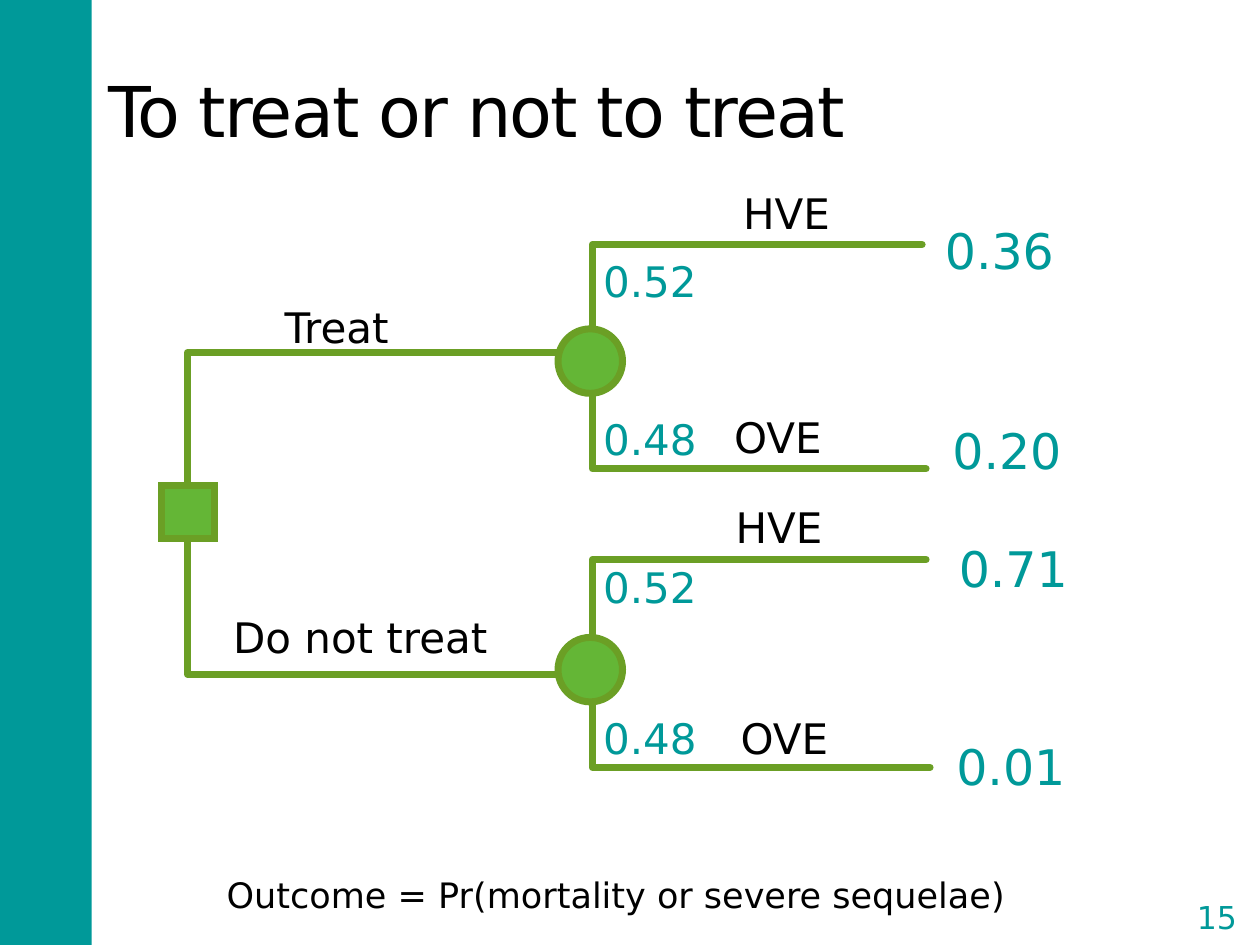
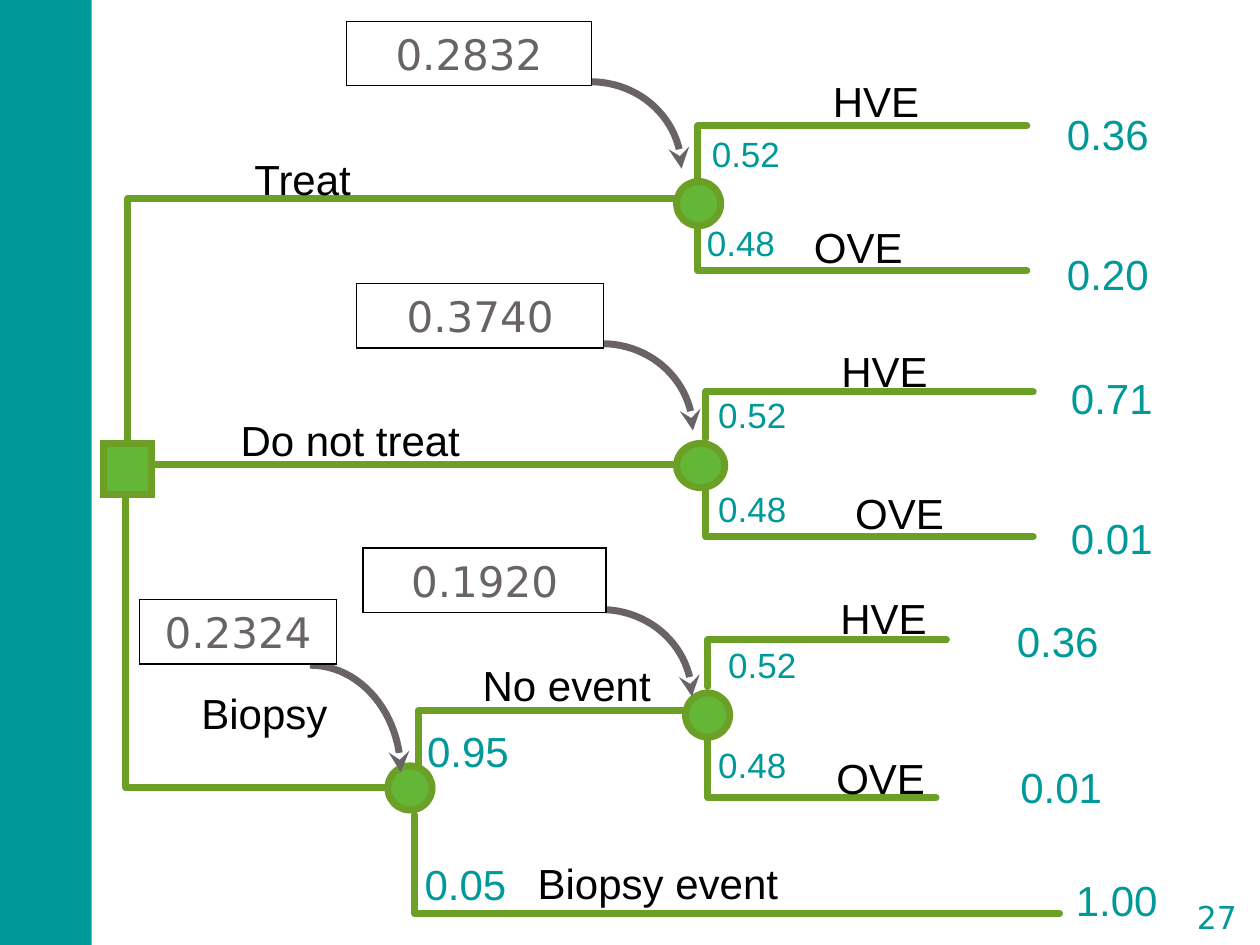
"""Build two decision-tree slides about treating or not treating."""
from math import cos, pi, sin

from lxml.etree import SubElement
from pptx import Presentation
from pptx.dml.color import RGBColor
from pptx.enum.shapes import MSO_SHAPE as SHAPE
from pptx.enum.text import MSO_ANCHOR as ANCHOR, MSO_AUTO_SIZE as AUTO, PP_ALIGN as ALIGN
from pptx.oxml.ns import qn
from pptx.util import Cm, Pt

COLORS = {
    "teal": "009999",
    "branch": "6B9F25",
    "node": "64B636",
    "grey": "696367",
    "black": "000000",
    "white": "FFFFFF",
}
SANS = "DejaVu Sans"
ARIAL = "Arial"
TITLE_ONLY, BLANK = 5, 6


def rgb(name):
    return RGBColor.from_string(COLORS[name])


class Deck:
    def __init__(self):
        self.prs = Presentation()
        self.prs.slide_width, self.prs.slide_height = Cm(25.4), Cm(19.05)

    def new_slide(self, number, font, pad, layout=BLANK):
        self.slide = self.prs.slides.add_slide(self.prs.slide_layouts[layout])
        self.font, self.pad = font, pad
        self.shape(SHAPE.RECTANGLE, -0.05, 0, 1.9, 19.05, fill="teal")
        sp = self.shape(SHAPE.DOUBLE_BRACKET, 23.77, 17.93, 1.52, 1.09, line="white", width=1.5)
        sp.adjustments[0] = 0.179
        self.set_text(sp, str(number), 18, "teal", (0, 0), SANS, ALIGN.CENTER)

    def set_text(self, sp, text, size, color, pad, font, align=ALIGN.LEFT, anchor=ANCHOR.MIDDLE):
        tf = sp.text_frame
        tf.word_wrap = True
        tf.vertical_anchor = anchor
        tf.margin_left = tf.margin_right = Cm(pad[0])
        tf.margin_top = tf.margin_bottom = Cm(pad[1])
        p = tf.paragraphs[0]
        p.text, p.alignment = text, align
        p.font.size, p.font.name = Pt(size), font
        p.font.color.rgb = rgb(color)
        return p

    def title(self, text):
        sp = self.slide.shapes.title
        sp.left, sp.top, sp.width, sp.height = Cm(1.93), Cm(0.84), Cm(20.4), Cm(2.74)
        p = self.set_text(sp, text, 40, "black", (0.25, 0.13), SANS)
        sp.text_frame.auto_size = AUTO.NONE
        p.runs[0]._r.get_or_add_rPr().set("spc", "-100")

    def text(self, text, x, y, w, size=24, color="black"):
        sp = self.slide.shapes.add_textbox(Cm(x), Cm(y), Cm(w), Cm(size * 0.05))
        self.set_text(sp, text, size, color, self.pad, self.font, anchor=ANCHOR.TOP)
        sp.text_frame.auto_size = AUTO.SHAPE_TO_FIT_TEXT

    def paint(self, sp, fill=None, line=None, width=4):
        sp.shadow.inherit = False
        if fill:
            sp.fill.solid()
            sp.fill.fore_color.rgb = rgb(fill)
        else:
            sp.fill.background()
        if line:
            sp.line.color.rgb = rgb(line)
            sp.line.width = Pt(width)
        else:
            sp.line.fill.background()
        return sp._element.spPr.find(qn("a:ln"))

    def shape(self, kind, x, y, w, h, fill=None, line=None, width=4):
        sp = self.slide.shapes.add_shape(kind, Cm(x), Cm(y), Cm(w), Cm(h))
        ln = self.paint(sp, fill, line, width)
        SubElement(ln, qn("a:miter"), lim="800000")
        return sp

    def node(self, kind, x, y, w, h):
        self.shape(kind, x, y, w, h, "node", "branch")

    def stroke(self, points, color):
        points = [(Cm(x), Cm(y)) for x, y in points]
        builder = self.slide.shapes.build_freeform(*points[0])
        builder.add_line_segments(points[1:], close=False)
        ln = self.paint(builder.convert_to_shape(), line=color)
        SubElement(ln, qn("a:round"))
        return ln

    def branch(self, x, y, end_y, end_x):
        ln = self.stroke([(x, y), (x, end_y), (end_x, end_y)], "branch")
        ln.set("cap", "rnd")

    def curved_arrow(self, x, y, w, h, steps=24):
        angles = [i * pi / 2 / steps for i in range(steps + 1)]
        ln = self.stroke([(x + w * sin(a), y + h * (1 - cos(a))) for a in angles], "grey")
        SubElement(ln, qn("a:tailEnd"), type="stealth")

    def value_box(self, text, x, y, w):
        sp = self.shape(SHAPE.RECTANGLE, x, y, w, 1.3, "white", "black", 0.75)
        self.set_text(sp, text, 24, "grey", (0.25, 0.13), SANS, ALIGN.CENTER)


def simple_tree(deck):
    deck.new_slide(15, SANS, (0.2, 0.1), TITLE_ONLY)
    deck.title("To treat or not to treat")
    for branch in [
        (3.78, 10.16, 7.11, 11.58),
        (3.78, 10.87, 13.59, 11.53),
        (11.94, 7.09, 4.93, 18.59),
        (11.94, 7.14, 9.45, 18.67),
        (11.94, 13.56, 11.28, 18.67),
        (11.94, 13.44, 15.47, 18.75),
    ]:
        deck.branch(*branch)
    deck.node(SHAPE.RECTANGLE, 3.25, 9.78, 1.07, 1.07)
    for y in (6.63, 12.85):
        deck.node(SHAPE.OVAL, 11.25, y, 1.3, 1.3)
    for label in [
        ("Treat", 5.54, 5.97, 2.65),
        ("Do not treat", 4.5, 12.22, 5.75),
        ("HVE", 14.78, 3.68, 2.25),
        ("OVE", 14.6, 8.2, 2.25),
        ("HVE", 14.63, 10.01, 2.25),
        ("OVE", 14.73, 14.27, 2.25),
    ]:
        deck.text(*label)
    for chance, y in [("0.52", 5.05), ("0.48", 8.23), ("0.52", 11.22), ("0.48", 14.27)]:
        deck.text(chance, 11.96, y, 2.6, color="teal")
    for outcome, x, y in [
        ("0.36", 18.85, 4.34),
        ("0.20", 19, 8.38),
        ("0.71", 19.13, 10.76),
        ("0.01", 19.08, 14.75),
    ]:
        deck.text(outcome, x, y, 2.75, 28, "teal")
    deck.text("Outcome = Pr(mortality or severe sequelae)", 4.37, 17.5, 16.4, 20)


def biopsy_tree(deck):
    deck.new_slide(27, ARIAL, (0.15, 0.08))
    for branch in [
        (2.41, 9.73, 9.37, 14.33),
        (2.54, 9.73, 15.88, 8.2),
        (2.57, 9.63, 4.01, 14.22),
        (14.07, 3.61, 2.54, 20.7),
        (14.07, 4.11, 5.46, 20.7),
        (14.22, 8.84, 7.9, 20.83),
        (14.22, 9.45, 10.82, 20.83),
        (8.43, 15.49, 14.33, 14.02),
        (8.36, 16.43, 18.42, 21.36),
        (14.27, 13.84, 12.9, 19.08),
        (14.27, 14.71, 16.08, 18.87),
    ]:
        deck.branch(*branch)
    deck.node(SHAPE.RECTANGLE, 2.08, 8.94, 0.97, 1.04)
    deck.node(SHAPE.OVAL, 13.64, 8.94, 0.97, 0.89)
    for x, y in [(13.64, 3.66), (7.82, 15.44), (13.82, 13.97)]:
        deck.node(SHAPE.OVAL, x, y, 0.89, 0.89)
    for label in [
        ("Treat", 4.98, 3.02, 2.35),
        ("Do not treat", 4.7, 8.28, 5.23),
        ("Biopsy", 3.91, 13.77, 2.95),
        ("No event", 9.58, 13.21, 4.19),
        ("Biopsy event", 10.69, 17.2, 5.25),
        ("HVE", 16.64, 1.45, 2.15),
        ("OVE", 16.26, 4.39, 2.64),
        ("HVE", 16.81, 6.88, 2.15),
        ("OVE", 17.09, 9.75, 2.64),
        ("HVE", 16.79, 11.86, 2.3),
        ("OVE", 16.71, 15.09, 2.64),
    ]:
        deck.text(*label)
    for chance, x, y in [
        ("0.52", 14.2, 2.59),
        ("0.48", 14.1, 4.39),
        ("0.52", 14.33, 7.85),
        ("0.48", 14.33, 9.75),
        ("0.52", 14.53, 12.9),
        ("0.48", 14.33, 14.91),
    ]:
        deck.text(chance, x, y, 1.9, 20, "teal")
    for value, x, y in [
        ("0.95", 8.46, 14.55),
        ("0.05", 8.41, 17.22),
        ("0.36", 21.36, 2.11),
        ("0.20", 21.36, 4.93),
        ("0.71", 21.44, 7.42),
        ("0.01", 21.44, 10.26),
        ("0.36", 20.35, 12.32),
        ("0.01", 20.42, 15.27),
        ("1.00", 21.54, 17.55),
    ]:
        deck.text(value, x, y, 2.16, color="teal")
    for box, arrow in [
        (("0.2832", 6.99, 0.43, 4.93), (11.91, 1.65, 1.83, 1.75)),
        (("0.3740", 7.19, 5.72, 4.98), (12.14, 6.93, 1.83, 1.75)),
        (("0.1920", 7.32, 11.05, 4.9), (12.12, 12.29, 1.83, 1.75)),
        (("0.2324", 2.82, 12.09, 3.96), (6.25, 13.41, 1.83, 2.16)),
    ]:
        deck.curved_arrow(*arrow)
        deck.value_box(*box)


def main():
    deck = Deck()
    simple_tree(deck)
    biopsy_tree(deck)
    deck.prs.save("out.pptx")


if __name__ == "__main__":
    main()
